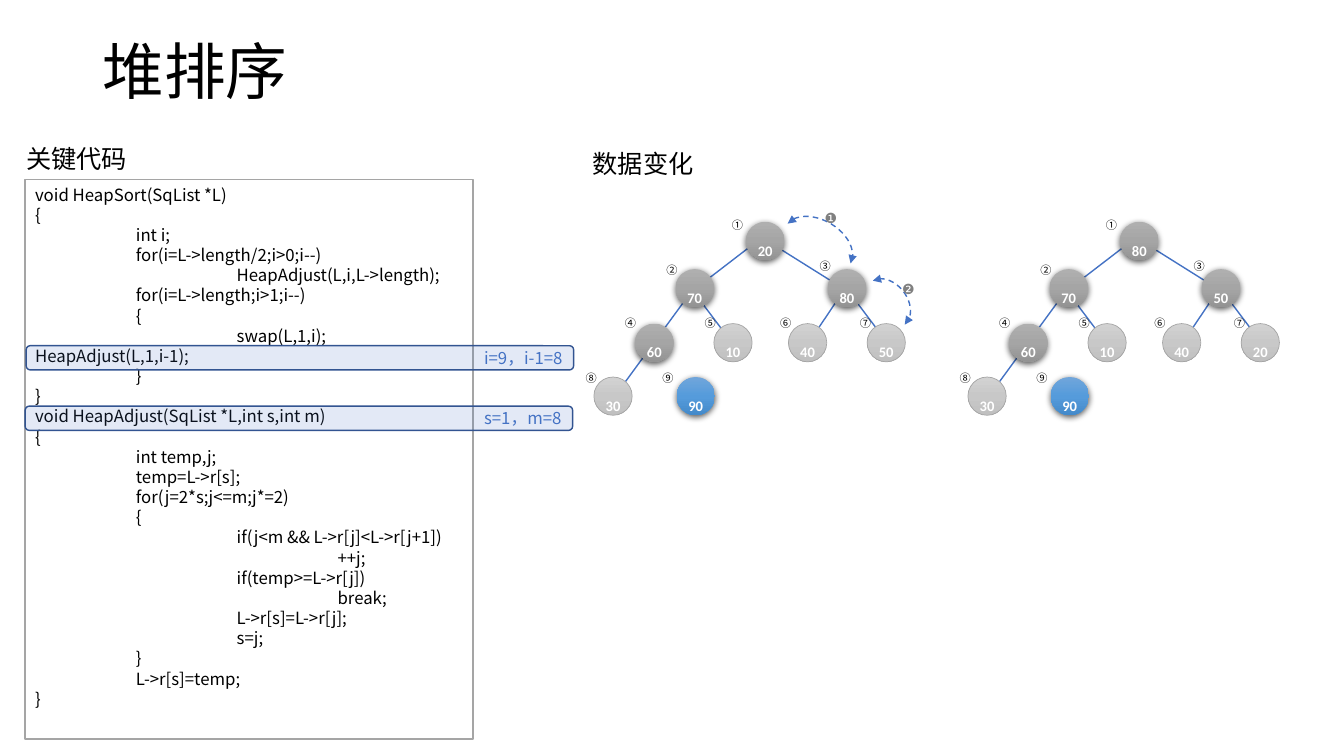
from copy import deepcopy

from lxml import etree
from pptx import Presentation
from pptx import util as u
from pptx.dml.color import RGBColor
from pptx.enum import dml, shapes, text
from pptx.oxml.ns import qn

PX = 9144
SLIDE_SIZE = (1333, 750)
CJK, LATIN, SYMBOL = "Noto Sans CJK SC", "Calibri", "DejaVu Sans"

BLACK = RGBColor(0x00, 0x00, 0x00)
WHITE = RGBColor(0xFF, 0xFF, 0xFF)
BLUE = RGBColor(0x44, 0x72, 0xC4)
NAVY = RGBColor(0x32, 0x54, 0x91)
GRAY = RGBColor(0xA5, 0xA5, 0xA5)
MARK_GRAY = RGBColor(0x80, 0x80, 0x80)
DARK_STOPS = (RGBColor(0xAF, 0xAF, 0xAF), GRAY, RGBColor(0x93, 0x93, 0x93))
LIGHT_STOPS = (RGBColor(0xD2, 0xD2, 0xD2), RGBColor(0xC8, 0xC8, 0xC8), RGBColor(0xC0, 0xC0, 0xC0))
BLUE_STOPS = (RGBColor(0x71, 0xA6, 0xDB), RGBColor(0x55, 0x9B, 0xDB), RGBColor(0x44, 0x8A, 0xCA))

TITLE = ("堆排序", (92, 1, 1150, 145))
HEADINGS = [("关键代码", (16, 137, 125, 40)), ("数据变化", (578, 142, 121, 40))]
CODE_BOX = (25, 178, 444, 555)
CODE = [
    (0, "void HeapSort(SqList *L)"),
    (0, "{"),
    (1, "int i;"),
    (1, "for(i=L->length/2;i>0;i--)"),
    (2, "HeapAdjust(L,i,L->length);"),
    (1, "for(i=L->length;i>1;i--)"),
    (1, "{"),
    (2, "swap(L,1,i);"),
    (0, "HeapAdjust(L,1,i-1);"),
    (1, "}"),
    (0, "}"),
    (0, "void HeapAdjust(SqList *L,int s,int m)"),
    (0, "{"),
    (1, "int temp,j;"),
    (1, "temp=L->r[s];"),
    (1, "for(j=2*s;j<=m;j*=2)"),
    (1, "{"),
    (2, "if(j<m && L->r[j]<L->r[j+1])"),
    (3, "++j;"),
    (2, "if(temp>=L->r[j])"),
    (3, "break;"),
    (2, "L->r[s]=L->r[j];"),
    (2, "s=j;"),
    (1, "}"),
    (1, "L->r[s]=temp;"),
    (0, "}"),
]
LOOP_HIGHLIGHT = ("i=9，i-1=8", (26, 343, 543, 24))
CALL_HIGHLIGHT = ("s=1，m=8", (25, 403, 543, 24))

NODES = [
    ("①", 740, 220, (-24, -8), DARK_STOPS),
    ("②", 670, 267, (-19, -11), DARK_STOPS),
    ("③", 821, 267, (-18, -15), DARK_STOPS),
    ("④", 630, 321, (-20, -12), DARK_STOPS),
    ("⑤", 708, 321, (-19, -12), LIGHT_STOPS),
    ("⑥", 782, 321, (-18, -12), LIGHT_STOPS),
    ("⑦", 860, 321, (-17, -12), LIGHT_STOPS),
    ("⑧", 589, 374, (-18, -11), LIGHT_STOPS),
    ("⑨", 671, 374, (-24, -11), BLUE_STOPS),
]
EDGES = [
    (840, 287, 877, 336),
    (767, 227, 685, 290),
    (837, 288, 798, 346),
    (686, 287, 723, 336),
    (769, 244, 836, 286),
    (691, 282, 604, 401),
]
TREES = [
    (371, [80, 70, 50, 60, 10, 40, 20, 30, 90]),
    (0, [20, 70, 80, 60, 10, 40, 50, 30, 90]),
]
NODE_SIZE = 38
SWAP_ARCS = [((787, 206, 49, 74), 300.7), ((861, 274, 39, 54), 322.4)]
ARC_ENDS = (164.51, 53.4)
SWAP_MARKS = [("❷", (885, 273, 37, 27)), ("❶", (808, 203, 37, 27))]


def px(values):
    return [u.Emu(value * PX) for value in values]


def write(shape, lines, size, color, font=CJK, align=text.PP_ALIGN.LEFT, bold=False):
    frame = shape.text_frame
    frame.text = "\n".join(lines)
    for paragraph in frame.paragraphs:
        paragraph.alignment = align
        for run in paragraph.runs:
            run.font.size = u.Pt(size)
            run.font.name = font
            run.font.bold = bold
            run.font.color.rgb = color
            etree.SubElement(run.font._element, qn("a:ea"), typeface=font)
    return frame


def add_label(parent, content, box, size, color, wrap=False, **style):
    label = parent.shapes.add_textbox(*px(box))
    frame = write(label, [content], size, color, **style)
    frame.word_wrap = wrap
    return frame


def add_preset(parent, kind, box):
    shape = parent.shapes.add_shape(kind, *px(box))
    shape.shadow.inherit = False
    return shape


def set_line(shape, color, width=1):
    shape.line.color.rgb = color
    shape.line.width = u.Pt(width)


def add_code(slide):
    box = add_preset(slide, shapes.MSO_SHAPE.RECTANGLE, CODE_BOX)
    box.fill.solid()
    box.fill.fore_color.rgb = WHITE
    set_line(box, GRAY)
    frame = write(box, [line for _, line in CODE], 12, BLACK)
    frame.vertical_anchor = text.MSO_ANCHOR.TOP
    for paragraph, (depth, _) in zip(frame.paragraphs, CODE):
        paragraph.line_spacing = u.Pt(14.4)
        paragraph._p.get_or_add_pPr().set("marL", str(depth * 100 * PX))


def add_highlight(slide, content, box):
    band = add_preset(slide, shapes.MSO_SHAPE.ROUNDED_RECTANGLE, box)
    band.fill.solid()
    band.fill.fore_color.rgb = BLUE
    tint = band._element.spPr.find(qn("a:solidFill"))[0]
    etree.SubElement(tint, qn("a:alpha"), val="15000")
    set_line(band, NAVY)
    frame = write(band, [content], 12, BLUE, align=text.PP_ALIGN.RIGHT)
    frame.vertical_anchor = text.MSO_ANCHOR.MIDDLE


def add_node(slide, value, left, top, stops):
    group = slide.shapes.add_group_shape()
    circle = add_preset(group, shapes.MSO_SHAPE.OVAL, (left, top, NODE_SIZE, NODE_SIZE))
    circle.fill.gradient()
    circle.fill.gradient_angle = 270
    properties = circle._element.spPr
    stop_list = properties.find(".//" + qn("a:gsLst"))
    stop_list.append(deepcopy(stop_list[0]))
    for stop, position, color in zip(circle.fill.gradient_stops, (0, 0.5, 1), stops):
        stop.position = position
        stop.color.rgb = color
    if stops is LIGHT_STOPS:
        set_line(circle, GRAY, 0.5)
    else:
        circle.line.fill.background()
        shadow = etree.SubElement(
            properties.find(qn("a:effectLst")), qn("a:outerShdw"), blurRad=str(u.Pt(4.5)),
            dist=str(u.Pt(1.5)), dir="5400000", algn="ctr", rotWithShape="0")
        shade = etree.SubElement(shadow, qn("a:srgbClr"), val=str(BLACK))
        etree.SubElement(shade, qn("a:alpha"), val="63000")
    frame = add_label(group, str(value), (left, top - 2, NODE_SIZE, 30), 18, WHITE, wrap=True,
                      font=LATIN, align=text.PP_ALIGN.CENTER, bold=True)
    frame.margin_left = frame.margin_right = 0
    frame.paragraphs[0].runs[0].font._element.set("baseline", "-25000")


def add_tree(slide, shift, values):
    for x1, y1, x2, y2 in EDGES:
        edge = slide.shapes.add_connector(
            shapes.MSO_CONNECTOR.STRAIGHT, *px((x1 + shift, y1, x2 + shift, y2)))
        set_line(edge, BLUE)
        etree.SubElement(edge._element.spPr, qn("a:effectLst"))
    for value, (_, left, top, _, stops) in zip(values, NODES):
        add_node(slide, value, left + shift, top, stops)
    for number, left, top, (dx, dy), _ in NODES:
        add_label(slide, number, (left + shift + dx, top + dy, 31, 24), 8, BLACK)


def add_swap_arc(slide, box, rotation):
    arc = add_preset(slide, shapes.MSO_SHAPE.ARC, box)
    for index, end in enumerate(ARC_ENDS):
        arc.adjustments[index] = end
    arc.rotation = rotation
    arc.fill.background()
    set_line(arc, BLUE)
    arc.line.dash_style = dml.MSO_LINE.DASH
    outline = arc._element.spPr.find(qn("a:ln"))
    for arrowhead in ("a:headEnd", "a:tailEnd"):
        etree.SubElement(outline, qn(arrowhead), type="triangle")


def main():
    presentation = Presentation()
    presentation.slide_width, presentation.slide_height = px(SLIDE_SIZE)
    slide = presentation.slides.add_slide(presentation.slide_layouts[6])

    title = add_label(slide, *TITLE, 44, BLACK, wrap=True)
    title.vertical_anchor = text.MSO_ANCHOR.MIDDLE
    title.paragraphs[0].line_spacing = 0.9
    add_code(slide)
    add_highlight(slide, *LOOP_HIGHLIGHT)
    for content, box in HEADINGS:
        add_label(slide, content, box, 18, BLACK)
    for shift, values in TREES:
        add_tree(slide, shift, values)
    for box, rotation in SWAP_ARCS:
        add_swap_arc(slide, box, rotation)
    for content, box in SWAP_MARKS:
        add_label(slide, content, box, 10, MARK_GRAY, font=SYMBOL)
    add_highlight(slide, *CALL_HIGHLIGHT)
    presentation.save("out.pptx")


if __name__ == "__main__":
    main()
